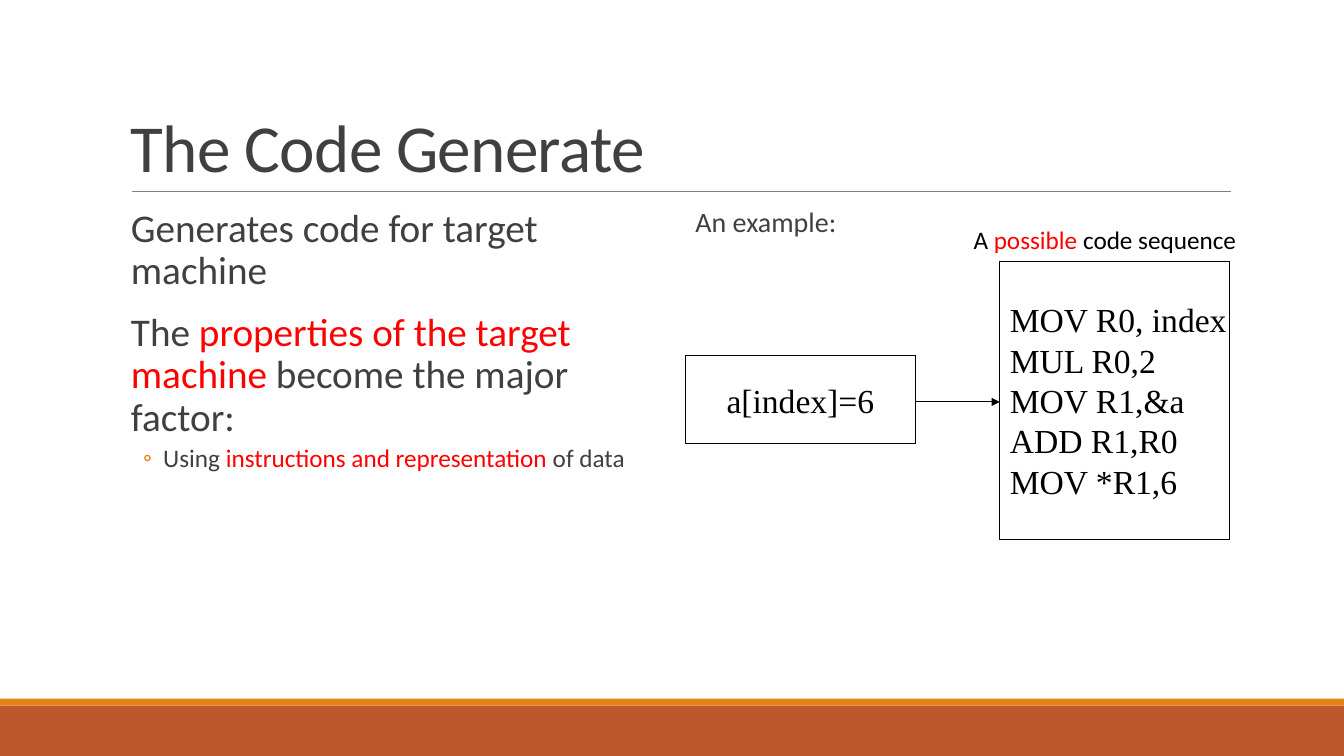
from lxml.etree import SubElement
from pptx import Presentation
from pptx.dml.color import RGBColor
from pptx.enum.shapes import MSO_CONNECTOR, MSO_SHAPE
from pptx.enum.text import MSO_ANCHOR, PP_ALIGN
from pptx.oxml.ns import qn
from pptx.util import Pt

BLACK = RGBColor(0, 0, 0)
WHITE = RGBColor(0xFF, 0xFF, 0xFF)
DARK = RGBColor(0x40, 0x40, 0x40)
GRAY = RGBColor(0x80, 0x80, 0x80)
RED = RGBColor(0xFF, 0, 0)
AMBER = RGBColor(0xE4, 0x83, 0x12)
RUST = RGBColor(0xBD, 0x58, 0x2C)

CODE = ["MOV R0, index", "MUL R0,2", "MOV R1,&a", "ADD R1,R0", "MOV *R1,6"]


def write(para, text, size=18, font="Calibri", color=DARK, align=PP_ALIGN.LEFT,
          line=None, before=0, after=0, left=0, first=0, bullet=None, track=0):
    props = para._p.get_or_add_pPr()
    props.set("marL", str(Pt(left)))
    props.set("indent", str(Pt(first)))
    if bullet:
        tint = SubElement(props, qn("a:buClr"))
        SubElement(tint, qn("a:srgbClr")).set("val", str(AMBER))
        SubElement(props, qn("a:buFont")).set("typeface", font)
        SubElement(props, qn("a:buChar")).set("char", bullet)
    para.alignment = align
    para.space_before, para.space_after = Pt(before), Pt(after)
    if line:
        para.line_spacing = line
    parts = [(text, color)] if isinstance(text, str) else text
    for words, shade in parts:
        run = para.add_run()
        run.text = words
        run.font.size, run.font.name = Pt(size), font
        run.font.color.rgb = shade
        if track:
            run._r.get_or_add_rPr().set("spc", str(track))


def add_text(slide, x, y, w, h, side=7.2, wrap=True, anchor=MSO_ANCHOR.TOP):
    frame = slide.shapes.add_textbox(Pt(x), Pt(y), Pt(w), Pt(h)).text_frame
    frame.word_wrap = wrap
    frame.vertical_anchor = anchor
    frame.margin_left = frame.margin_right = Pt(side)
    return frame


def add_rect(slide, x, y, w, h, fill, edge=None):
    rect = slide.shapes.add_shape(MSO_SHAPE.RECTANGLE, Pt(x), Pt(y), Pt(w), Pt(h))
    rect.shadow.inherit = False
    rect.fill.solid()
    rect.fill.fore_color.rgb = fill
    if edge is None:
        rect.line.fill.background()
    else:
        rect.line.color.rgb = edge
        rect.line.width = Pt(0.75)
    return rect


def add_code(slide, x, y, w, h, lines, align):
    frame = add_rect(slide, x, y, w, h, WHITE, BLACK).text_frame
    frame.word_wrap = False
    frame.vertical_anchor = MSO_ANCHOR.MIDDLE
    for i, text in enumerate(lines):
        para = frame.add_paragraph() if i else frame.paragraphs[0]
        write(para, text, size=24, font="Times New Roman", color=BLACK, align=align)


def add_line(slide, x, end, y, color, width, arrow=False):
    rule = slide.shapes.add_connector(
        MSO_CONNECTOR.STRAIGHT, Pt(x), Pt(y), Pt(end), Pt(y))
    rule.line.color.rgb = color
    rule.line.width = Pt(width)
    if arrow:
        SubElement(rule.line._get_or_add_ln(), qn("a:tailEnd")).set("type", "triangle")
    SubElement(rule._element.spPr, qn("a:effectLst"))


def main():
    deck = Presentation()
    deck.slide_width, deck.slide_height = Pt(960), Pt(540)
    slide = deck.slides.add_slide(deck.slide_layouts[6])

    add_rect(slide, 0, 504, 960, 36, RUST)
    add_rect(slide, 0, 499, 960, 5, AMBER)
    add_line(slide, 94, 879, 136.8, GRAY, 0.5)

    title = add_text(slide, 86.4, 22.3, 792, 114.5, anchor=MSO_ANCHOR.BOTTOM)
    write(title.paragraphs[0], "The Code Generate", size=48, line=0.85, track=-50)

    body = add_text(slide, 86.4, 145.4, 388.8, 316.8, side=0)
    write(body.paragraphs[0], "Generates code for target machine",
          size=28, line=0.9, after=2, left=7.2)
    write(body.add_paragraph(),
          [("The ", DARK), ("properties of the target machine", RED),
           (" become the major factor:", DARK)],
          size=28, line=0.9, before=12, after=2, left=7.2)
    write(body.add_paragraph(),
          [("Using ", DARK), ("instructions and representation", RED),
           (" of data", DARK)],
          line=0.9, before=2, after=4, left=30.2, first=-14.4, bullet="◦")

    sample = add_text(slide, 489.6, 145.4, 388.8, 316.8, side=0)
    write(sample.paragraphs[0], "An example:", size=20, line=0.9, after=2, left=7.2)

    add_code(slide, 489.6, 254.2, 164.2, 62.6, ["a[index]=6"], PP_ALIGN.CENTER)
    add_code(slide, 714.2, 186.5, 164.2, 198.7, CODE, PP_ALIGN.LEFT)
    add_line(slide, 653.8, 714.2, 287.1, BLACK, 0.75, arrow=True)

    label = add_text(slide, 688.3, 157, 204.5, 28.8, wrap=False)
    write(label.paragraphs[0],
          [("A ", BLACK), ("possible ", RED), ("code sequence", BLACK)])

    deck.save("out.pptx")


if __name__ == "__main__":
    main()
